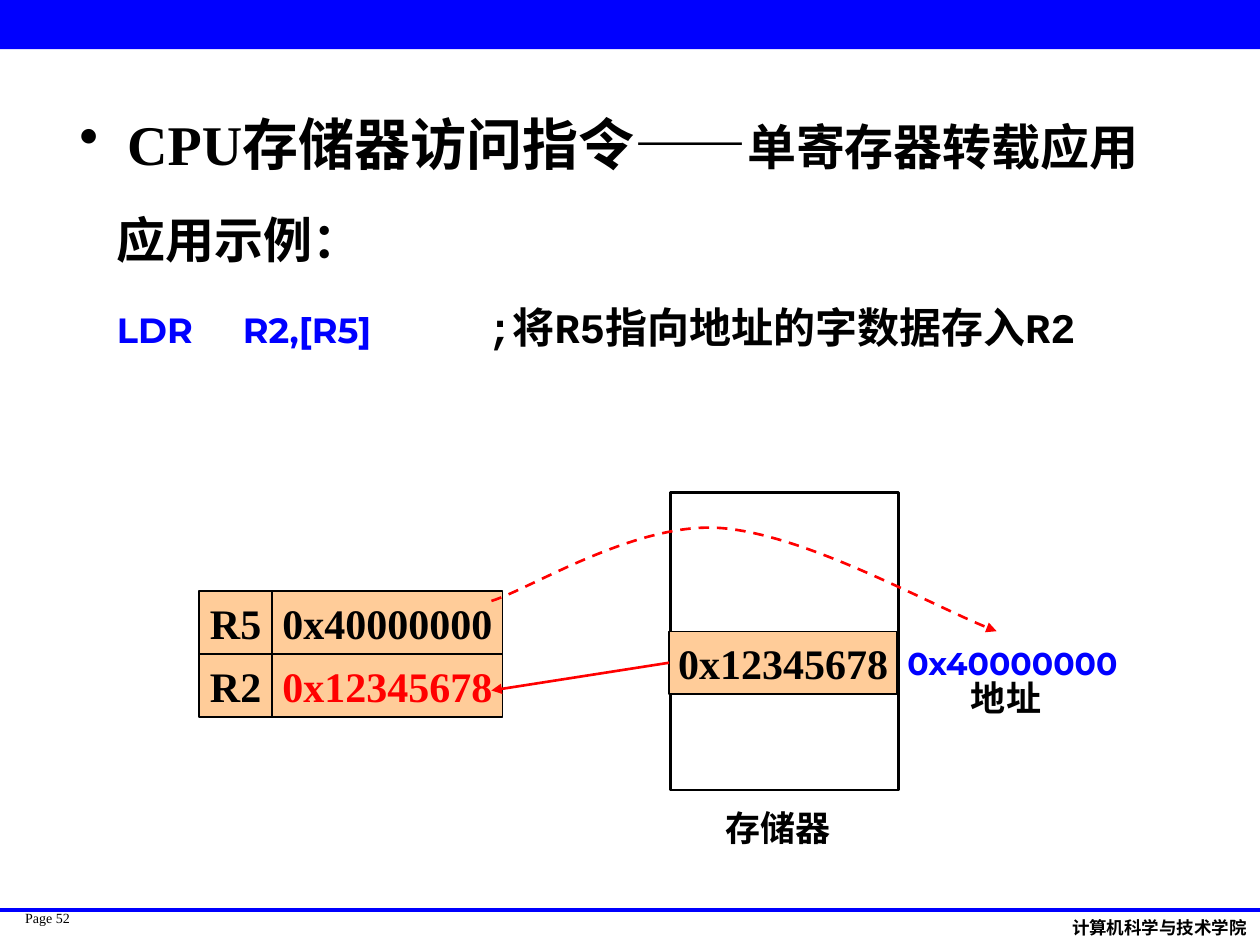
from dataclasses import dataclass

from lxml import etree
from pptx import Presentation, util as u
from pptx.dml.color import RGBColor
from pptx.enum import dml, shapes, text
from pptx.oxml.ns import qn


@dataclass(frozen=True)
class Theme:
    blue: str = "0000FF"
    red: str = "FF0000"
    black: str = "000000"
    white: str = "FFFFFF"
    peach: str = "FFCC99"
    serif: str = "Times New Roman"
    sans: str = "Montserrat"
    cjk: str = "Noto Sans CJK JP"
    mono: str = "Courier New"
    footer_font: str = "Cabin"
    title: int = 32
    subtitle: int = 28
    value: int = 24
    label: int = 20
    address: int = 18
    footer: int = 10
    page: int = 8


T = Theme()

# Content: each run is (words, size, font, colour, bold)
TITLE = [("CPU存储器访问指令——", T.title, T.serif, T.black, True),
         ("单寄存器转载应用", T.subtitle, T.serif, T.black, True)]
EXAMPLE = [
    [("应用示例：", T.subtitle, T.cjk, T.black, True)],
    [("LDR\tR2,[R5]\t", T.label, T.sans, T.blue, True),
     (";将R5指向地址的字数据存入R2", T.value, T.mono, T.black, True)],
]
REGISTERS = [("R5", "0x40000000", T.black), ("R2", "0x12345678", T.red)]
MEMORY_VALUE = "0x12345678"
ADDRESS = "0x40000000"
MEMORY_LABEL, ADDRESS_LABEL = "存储器", "地址"
PAGE, SCHOOL = "Page 52", "计算机科学与技术学院"

# Grid, in inches
WIDTH, HEIGHT = 10, 7.5
FOOTER_Y = 7.22
ROW = 0.5
NAME_X, NAME_W, VALUE_W = 1.58, 0.58, 1.83
REGISTER_Y = 4.69
MEMORY_X, MEMORY_W, MEMORY_Y, MEMORY_H = 5.31, 1.81, 3.91, 2.36
CELL_Y = 5.01
ADDRESS_X = MEMORY_X + MEMORY_W
LABEL_W, LABEL_H = 1.73, 0.44
EXAMPLE_TABS = (1, 2.94)
ARROW_X = 3.9
POINTER = [(ARROW_X, 4.77), (4.2, 4.68), (5.03, 4.15), (5.7, 4.19),
           (6.37, 4.23), (7.45, 4.84), (7.91, 5.01)]

prs = Presentation()
prs.slide_width, prs.slide_height = u.Inches(WIDTH), u.Inches(HEIGHT)
slide = prs.slides.add_slide(prs.slide_layouts[5])


def inches(*lengths):
    return [u.Inches(length) for length in lengths]


def add_runs(paragraph, runs):
    for words, size, font, color, bold in runs:
        run = paragraph.add_run()
        run.text = words
        run.font.size, run.font.name, run.font.bold = u.Pt(size), font, bold
        run.font.color.rgb = RGBColor.from_string(color)


def add_text(box, runs, align=text.PP_ALIGN.LEFT, anchor=text.MSO_ANCHOR.TOP, wrap=False):
    frame = box.text_frame
    frame.word_wrap, frame.vertical_anchor = wrap, anchor
    frame.paragraphs[0].alignment = align
    add_runs(frame.paragraphs[0], runs)
    return frame


def add_label(area, run, **options):
    return add_text(slide.shapes.add_textbox(*inches(*area)), [run], **options)


def add_box(area, fill, line_width=0, run=None):
    box = slide.shapes.add_shape(shapes.MSO_SHAPE.RECTANGLE, *inches(*area))
    box.shadow.inherit = False
    box.fill.solid()
    box.fill.fore_color.rgb = RGBColor.from_string(fill)
    if line_width:
        style_line(box.line, T.black, line_width)
    else:
        box.line.fill.background()
    if run:
        add_text(box, [run], text.PP_ALIGN.CENTER, text.MSO_ANCHOR.MIDDLE)
    return box


def style_line(line, color, width):
    line.color.rgb = RGBColor.from_string(color)
    line.width = u.Pt(width)


def add_line(start, end, color, width):
    line = slide.shapes.add_connector(shapes.MSO_CONNECTOR.STRAIGHT, *inches(*start, *end))
    style_line(line.line, color, width)
    etree.SubElement(line._element.spPr, qn("a:effectLst"))
    return line


def add_arrowhead(shape):
    etree.SubElement(shape.line._get_or_add_ln(), qn("a:tailEnd"), type="triangle")


def add_curve(points):
    """Bezier curve: a start point, then three points for each segment."""
    start, *rest = [inches(*point) for point in points]
    builder = slide.shapes.build_freeform(*start)
    builder.add_line_segments(rest, close=False)
    curve = builder.convert_to_shape()
    steps = list(curve._element.iter(qn("a:lnTo")))
    for i in range(0, len(steps), 3):
        segment = steps[i]
        for step in steps[i + 1:i + 3]:
            segment.append(step[0])
            step.getparent().remove(step)
        segment.tag = qn("a:cubicBezTo")
    curve.shadow.inherit = False
    curve.fill.background()
    return curve


def value_run(words, color=T.black):
    return words, T.value, T.serif, color, True


# Header band and footer
add_box((0, 0, WIDTH, 0.39), T.blue)
add_line((0, FOOTER_Y), (WIDTH, FOOTER_Y), T.blue, 2.25)
page = add_label((0.2, FOOTER_Y, 0.51, 0.27), (PAGE, T.page, T.serif, T.black, False))
page.margin_left = page.margin_right = page.margin_top = page.margin_bottom = 0
add_label((8.41, 7.23, 1.59, 0.27), (SCHOOL, T.footer, T.footer_font, T.black, True))

# Bulleted title
title = slide.shapes.title
title.left, title.top, title.width, title.height = inches(0.53, 0.82, 8.88, 0.67)
title.text_frame.auto_size = text.MSO_AUTO_SIZE.NONE
heading = title.text_frame.paragraphs[0]
heading_props = heading._p.get_or_add_pPr()
heading_props.set("marL", str(u.Inches(0.38)))
heading_props.set("indent", str(-u.Inches(0.38)))
etree.SubElement(heading_props, qn("a:buChar"), char="•")
heading.font.size = u.Pt(T.title)
add_text(title, TITLE, wrap=True)

# Example instruction with its comment
example = slide.shapes.add_textbox(*inches(0.83, 1.61, 8.19, 1.24))
frame = add_text(example, EXAMPLE[0], wrap=True)
instruction = frame.add_paragraph()
instruction.space_before = u.Pt(19)
tabs = etree.SubElement(instruction._p.get_or_add_pPr(), qn("a:tabLst"))
for stop in EXAMPLE_TABS:
    etree.SubElement(tabs, qn("a:tab"), pos=str(u.Inches(stop)), algn="l")
add_runs(instruction, EXAMPLE[1])

# Registers
for row, (name, value, color) in enumerate(REGISTERS):
    y = REGISTER_Y + row * ROW
    add_box((NAME_X, y, NAME_W, ROW), T.peach, 0.75, value_run(name))
    add_box((NAME_X + NAME_W, y, VALUE_W, ROW), T.peach, 0.75, value_run(value, color))

# Memory with the addressed cell
add_box((MEMORY_X + 0.01, MEMORY_Y, MEMORY_W, MEMORY_H), T.white, 1.5)
cell = add_box((MEMORY_X, CELL_Y, MEMORY_W, ROW), T.peach, 0.75, value_run(MEMORY_VALUE))
address = add_label((ADDRESS_X, CELL_Y, VALUE_W, ROW),
                    (ADDRESS, T.address, T.sans, T.blue, True),
                    align=text.PP_ALIGN.CENTER, anchor=text.MSO_ANCHOR.MIDDLE)
address.margin_left = address.margin_right = 0
for words, x, y in [(MEMORY_LABEL, MEMORY_X, 6.35), (ADDRESS_LABEL, ADDRESS_X, 5.32)]:
    add_label((x, y, LABEL_W, LABEL_H), (words, T.label, T.serif, T.black, True),
              align=text.PP_ALIGN.CENTER, wrap=True)

# Pointer from R5 to the address, and load from the cell into R2
pointer = add_curve(POINTER)
style_line(pointer.line, T.red, 1.5)
pointer.line.dash_style = dml.MSO_LINE.DASH
add_arrowhead(pointer)
load = add_line((MEMORY_X, CELL_Y + ROW / 2), (ARROW_X, 5.48), T.red, 1.5)
load.begin_connect(cell, 1)
add_arrowhead(load)

prs.save("out.pptx")
